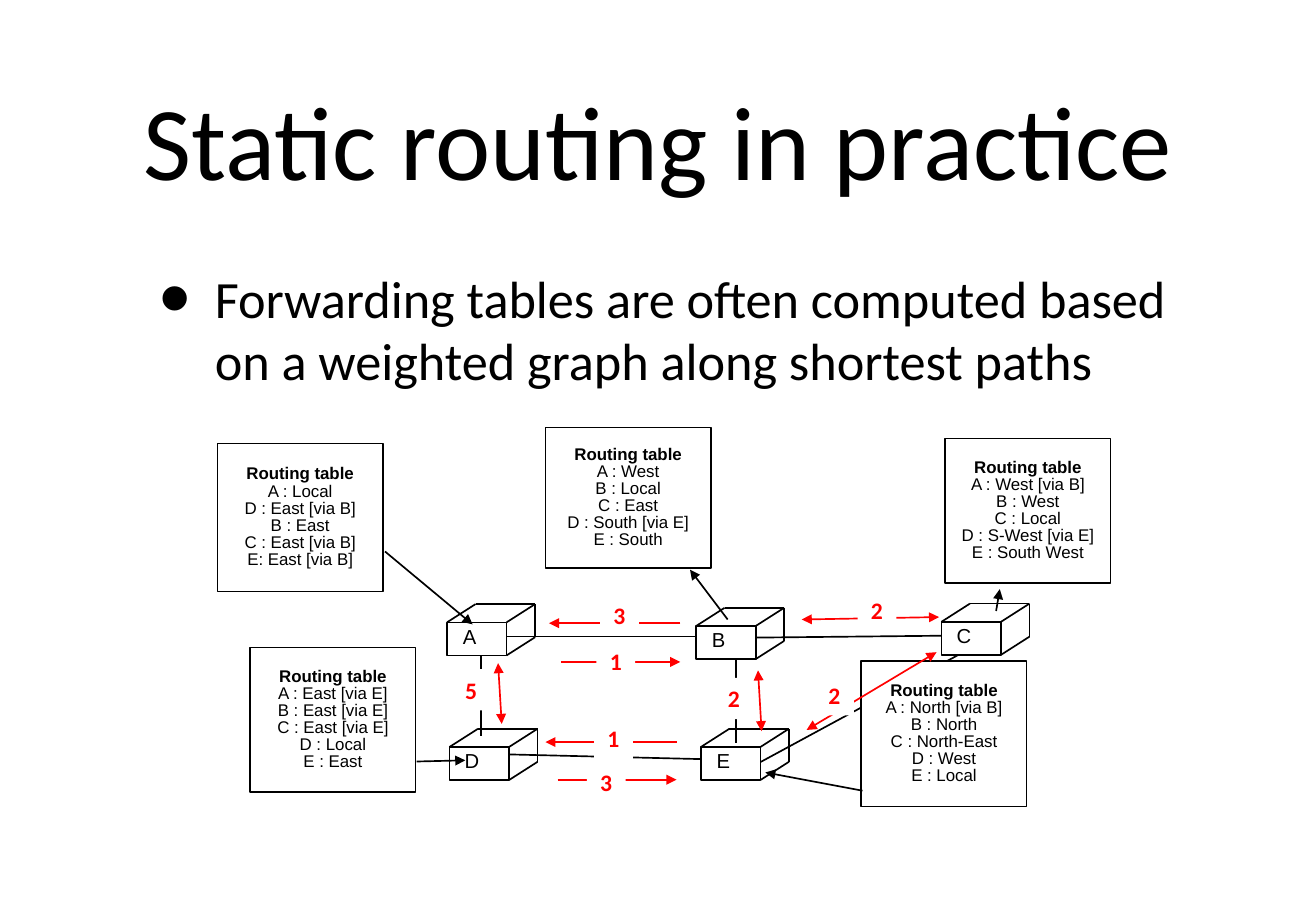
from dataclasses import dataclass

from lxml.etree import SubElement
from pptx import Presentation
from pptx.dml.color import RGBColor
from pptx.enum.shapes import MSO_CONNECTOR as Connector, MSO_SHAPE as Preset
from pptx.enum.text import MSO_ANCHOR as Anchor, MSO_AUTO_SIZE as AutoSize, PP_ALIGN as Align
from pptx.oxml.ns import qn
from pptx.util import Pt


@dataclass(frozen=True)
class Theme:
    """Colours, fonts and type sizes of the slide."""
    ink: RGBColor = RGBColor(0, 0, 0)
    paper: RGBColor = RGBColor(255, 255, 255)
    cost: RGBColor = RGBColor(255, 0, 0)
    main_font: str = "Calibri"
    network_font: str = "Arial"
    title_size: float = 62
    body_size: float = 31
    cost_size: float = 14
    router_size: float = 12
    table_size: float = 10


THEME = Theme()
TITLE = "Static routing in practice"
STATEMENT = "Forwarding tables are often computed based on a weighted graph along shortest paths"

FRONT_WIDTH, FRONT_HEIGHT = 35.3, 19.6
DEPTH_X, DEPTH_Y = 16.9, 10.8
TABLE_WIDTH = 98
COST_WIDTH, COST_HEIGHT = 23, 24.5

LINKS = [
    (285.1, 380.2, 285.1, 436.3),
    (297.4, 447.1, 445, 450.7),
    (295.2, 377.3, 443.5, 377.3),
    (436.3, 378.7, 436.3, 440.6),
    (448.6, 452.9, 588.2, 377.3),
    (442.1, 378, 581.8, 376.6),
]
ROUTERS = {
    "A": (265, 368.9),
    "B": (412.6, 371.1),
    "C": (558, 368.6),
    "D": (266.4, 442.8),
    "E": (415.4, 442.8),
}
ROUTING_TABLES = [
    (128.9, 262.8, 87.8, (228.2, 326.9, 280.1, 370.1),
     ["A : Local", "D : East [via B]", "B : East", "C : East [via B]", "E: East [via B]"]),
    (323.3, 253.4, 83.5, (431.3, 367.2, 409, 337.7),
     ["A : West", "B : Local", "C : East", "D : South [via E]", "E : South"]),
    (560.2, 259.9, 85.7, (590.4, 362.2, 592.6, 349.2),
     ["A : West [via B]", "B : West", "C : Local", "D : S-West [via E]", "E : South West"]),
    (148.3, 383.8, 85.7, (247, 451.4, 275.8, 450.7),
     ["A : East [via E]", "B : East [via E]", "C : East [via E]", "D : Local", "E : East"]),
    (510.5, 391.7, 86.4, (511.2, 468.7, 453.6, 457.9),
     ["A : North [via B]", "B : North", "C : North-East", "D : West", "E : Local"]),
]
COSTS = [
    ("3", (355.7, 352.1), (403.2, 369.4, 325.4, 369.4), False),
    ("1", (353.5, 379.4), (332.6, 392.4, 403.2, 392.4), False),
    ("5", (267.8, 396.7), (297.4, 429.1, 295.2, 393.1), True),
    ("2", (423.4, 401.8), (451.4, 433.4, 449.3, 397.4), True),
    ("1", (352.1, 425.5), (401, 439.9, 323.3, 439.9), False),
    ("3", (347.8, 451.4), (330.5, 462.2, 401, 462.2), False),
    ("2", (483.1, 399.6), (478.1, 432.7, 555.1, 386.6), True),
    ("2", (508.3, 349.2), (475.2, 367.2, 556.6, 365.8), True),
]


def format_text(paragraph, font, size, color=THEME.ink, bold=False):
    """Apply one character style to all runs of a paragraph."""
    for run in paragraph.runs:
        run.font.name, run.font.size, run.font.bold = font, Pt(size), bold
        run.font.color.rgb = color


def set_frame(frame, margin=0, wrap=True):
    """Give a text frame equal margins and middle anchoring."""
    frame.margin_left = frame.margin_right = Pt(margin)
    frame.margin_top = frame.margin_bottom = Pt(margin)
    frame.auto_size = AutoSize.NONE
    frame.vertical_anchor = Anchor.MIDDLE
    frame.word_wrap = wrap


def add_line(shapes, ends, color=THEME.ink, arrows=()):
    """Draw a thin straight line with the given arrowheads."""
    line = shapes.add_connector(Connector.STRAIGHT, *map(Pt, ends))
    line.line.width = Pt(1)
    line.line.color.rgb = color
    properties = line.element.spPr
    for arrow in arrows:
        SubElement(properties.find(qn("a:ln")), qn(arrow), type="triangle")
    SubElement(properties, qn("a:effectLst"))


def add_box(shapes, left, top, width, height, preset=Preset.RECTANGLE, outlined=False):
    """Add a white box, outlined or bare."""
    box = shapes.add_shape(preset, Pt(left), Pt(top), Pt(width), Pt(height))
    box.shadow.inherit = False
    box.fill.solid()
    box.fill.fore_color.rgb = THEME.paper
    if outlined:
        box.adjustments[0] = 0
        box.line.width = Pt(1)
        box.line.color.rgb = THEME.ink
    else:
        box.line.fill.background()
    return box


def add_label(shapes, text, left, top, width, height, **style):
    """Add a short centred text on a bare white box."""
    label = add_box(shapes, left, top, width, height)
    set_frame(label.text_frame, wrap=False)
    label.text_frame.text = text
    paragraph = label.text_frame.paragraphs[0]
    paragraph.alignment = Align.CENTER
    format_text(paragraph, **style)


def add_router(slide, name, left, top):
    """Draw a router as a named block in perspective."""
    shapes = slide.shapes.add_group_shape().shapes
    add_box(shapes, left, top, FRONT_WIDTH, FRONT_HEIGHT, Preset.ROUNDED_RECTANGLE, outlined=True)
    right, bottom = left + FRONT_WIDTH, top + FRONT_HEIGHT
    for x, y in [(left, top), (right, top), (right, bottom)]:
        add_line(shapes, (x, y, x + DEPTH_X, y - DEPTH_Y))
    back_right, back_top = right + DEPTH_X, top - DEPTH_Y
    add_line(shapes, (left + DEPTH_X, back_top, back_right, back_top))
    add_line(shapes, (back_right, back_top, back_right, bottom - DEPTH_Y))
    add_label(shapes, name, left + 6.4, top + 0.7, 14, 15,
              font=THEME.network_font, size=THEME.router_size)


def add_routing_table(slide, left, top, height, pointer, routes):
    """Add a framed list of routes with its pointer."""
    shapes = slide.shapes.add_group_shape().shapes
    card = add_box(shapes, left, top, TABLE_WIDTH, height, Preset.ROUNDED_RECTANGLE, outlined=True)
    set_frame(card.text_frame)
    card.text_frame.text = "\n".join(["Routing table", *routes])
    for position, paragraph in enumerate(card.text_frame.paragraphs):
        paragraph.alignment = Align.CENTER
        paragraph.line_spacing = 0.84
        format_text(paragraph, THEME.network_font, THEME.table_size, bold=position == 0)
    add_line(shapes, pointer, arrows=["a:tailEnd"])


def add_cost(slide, weight, corner, ends, both_ways):
    """Draw a cost arrow and its weight."""
    arrows = ["a:headEnd", "a:tailEnd"] if both_ways else ["a:tailEnd"]
    add_line(slide.shapes, ends, THEME.cost, arrows)
    add_label(slide.shapes, weight, *corner, COST_WIDTH, COST_HEIGHT, font=THEME.main_font,
              size=THEME.cost_size, color=THEME.cost, bold=True)


def set_title(slide):
    """Place and format the title."""
    title = slide.shapes.title
    title.left, title.top, title.width, title.height = map(Pt, (76.3, 14.4, 627.8, 135.4))
    set_frame(title.text_frame, margin=3)
    title.text_frame.text = TITLE
    heading = title.text_frame.paragraphs[0]
    heading.alignment = Align.CENTER
    format_text(heading, THEME.main_font, THEME.title_size)


def add_statement(slide):
    """Add the bulleted statement under the title."""
    statement = slide.shapes.add_textbox(*map(Pt, (76.3, 153.4, 627.8, 82.8)))
    set_frame(statement.text_frame, margin=3)
    statement.text_frame.text = STATEMENT
    paragraph = statement.text_frame.paragraphs[0]
    paragraph.space_before = Pt(17.6)
    format_text(paragraph, THEME.main_font, THEME.body_size)
    properties = paragraph._p.get_or_add_pPr()
    properties.set("marL", str(Pt(48)))
    properties.set("indent", str(Pt(-33)))
    SubElement(properties, qn("a:buSzPct"), val="171000")
    SubElement(properties, qn("a:buFont"), typeface=THEME.network_font)
    SubElement(properties, qn("a:buChar"), char="•")


def main():
    """Build the slide and save it."""
    deck = Presentation()
    deck.slide_width, deck.slide_height = Pt(780), Pt(540)
    slide = deck.slides.add_slide(deck.slide_layouts[5])
    set_title(slide)
    add_statement(slide)
    for ends in LINKS:
        add_line(slide.shapes, ends)
    for name, corner in ROUTERS.items():
        add_router(slide, name, *corner)
    for routing_table in ROUTING_TABLES:
        add_routing_table(slide, *routing_table)
    for cost in COSTS:
        add_cost(slide, *cost)
    deck.save("out.pptx")


if __name__ == "__main__":
    main()
